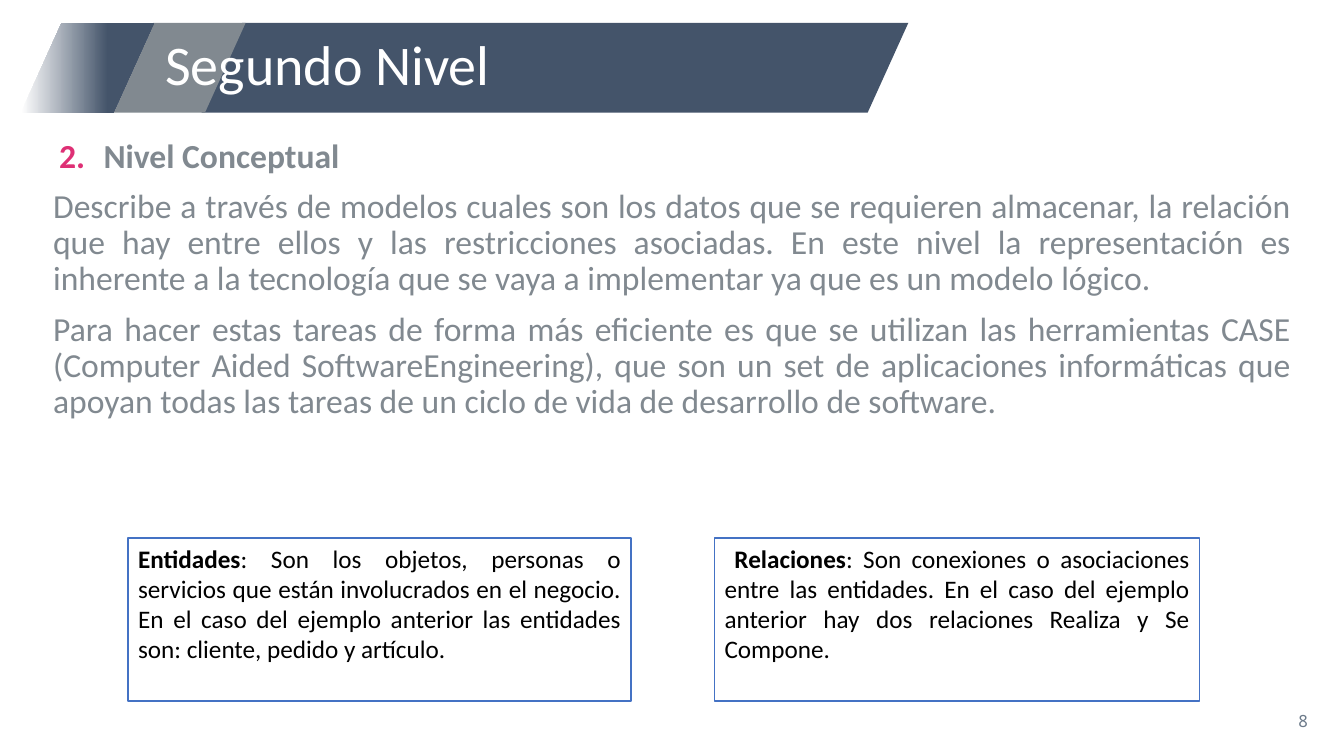
from dataclasses import dataclass

from lxml import etree
from pptx import Presentation
from pptx import util as u
from pptx.dml.color import RGBColor
from pptx.enum import shapes, text
from pptx.oxml import ns


@dataclass(frozen=True)
class Theme:
    font: str = "Calibri"
    number_font: str = "Noto Sans Mono"
    navy: str = "44546A"
    gray: str = "818990"
    white: str = "FFFFFF"
    black: str = "000000"
    pink: str = "DE3075"
    border: str = "4472C4"
    number: str = "6C7A8A"
    title_size: int = 40
    body_size: int = 24
    card_size: int = 18
    number_size: int = 12


THEME = Theme()
JUSTIFY = text.PP_ALIGN.JUSTIFY

BODY = [
    "Describe a través de modelos cuales son los datos que se requieren almacenar, "
    "la relación que hay entre ellos y las restricciones asociadas. En este nivel la "
    "representación es inherente a la tecnología que se vaya a implementar ya que es "
    "un modelo lógico.",
    "Para hacer estas tareas de forma más eficiente es que se utilizan las herramientas "
    "CASE (Computer Aided SoftwareEngineering), que son un set de aplicaciones "
    "informáticas que apoyan todas las tareas de un ciclo de vida de desarrollo de "
    "software.",
]

# Left, width, first-line indent (cm), term, definition
CARDS = [
    (3.23, 12.67, 0, "Entidades",
     ": Son los objetos, personas o servicios que están involucrados en el negocio. "
     "En el caso del ejemplo anterior las entidades son: cliente, pedido y artículo."),
    (18.01, 12.22, 0.25, "Relaciones",
     ": Son conexiones o asociaciones entre las entidades. En el caso del ejemplo "
     "anterior hay dos relaciones Realiza y Se Compone."),
]


def rgb(value):
    return RGBColor.from_string(value)


def area(left, top, width, height):
    return [u.Cm(value) for value in (left, top, width, height)]


def add_span(para, words, size, color, bold=False, font=THEME.font):
    span = para.add_run()
    span.text = words
    span.font.name = font
    span.font.size = u.Pt(size)
    span.font.bold = bold
    span.font.color.rgb = rgb(color)


def set_indent(para, margin, first_line):
    props = para._p.get_or_add_pPr()
    props.set("marL", str(u.Cm(margin)))
    props.set("indent", str(u.Cm(first_line)))
    return props


def add_number(para, start, color):
    props = set_indent(para, 1.27, -1.12)
    bullet_color = etree.SubElement(props, ns.qn("a:buClr"))
    etree.SubElement(bullet_color, ns.qn("a:srgbClr"), val=color)
    etree.SubElement(props, ns.qn("a:buAutoNum"), type="arabicPeriod", startAt=str(start))


def add_banner_piece(page, left, width, color, fade=False):
    piece = page.shapes.add_shape(shapes.MSO_SHAPE.PARALLELOGRAM,
                                  *area(left, 0.58, width, 2.26))
    piece.adjustments[0] = 0.453
    piece.shadow.inherit = False
    piece.line.fill.background()
    if fade:
        piece.fill.gradient()
        piece.fill.gradient_angle = 0
        stops = zip(piece.fill.gradient_stops, (0, 0.65), (THEME.white, color))
        for stop, position, shade in stops:
            stop.position = position
            stop.color.rgb = rgb(shade)
    else:
        piece.fill.solid()
        piece.fill.fore_color.rgb = rgb(color)


def set_title(page, words):
    title = page.shapes.title
    title.left, title.top, title.width, title.height = area(3.91, 0.58, 18.52, 2.26)
    frame = title.text_frame
    frame.vertical_anchor = text.MSO_ANCHOR.MIDDLE
    frame.auto_size = text.MSO_AUTO_SIZE.NONE
    para = frame.paragraphs[0]
    para.alignment = text.PP_ALIGN.LEFT
    para.line_spacing = 0.9
    add_span(para, words, THEME.title_size, THEME.white)
    # Bring the title in front of the banner
    page.shapes._spTree.append(title._element)


def add_text_box(page, place):
    frame = page.shapes.add_textbox(*area(*place)).text_frame
    frame.word_wrap = True
    return frame


def add_body(page, heading, paragraphs):
    frame = add_text_box(page, (1.09, 3.38, 31.7, 14.27))
    para = frame.paragraphs[0]
    add_number(para, 2, THEME.pink)
    para.alignment = JUSTIFY
    para.line_spacing = 0.9
    add_span(para, heading, THEME.body_size, THEME.gray, bold=True)
    for words in paragraphs:
        para = frame.add_paragraph()
        para.alignment = JUSTIFY
        para.line_spacing = 0.9
        para.space_before = u.Pt(10)
        add_span(para, words, THEME.body_size, THEME.gray)


def add_card(page, left, width, first_line, term, definition):
    card = page.shapes.add_shape(shapes.MSO_SHAPE.RECTANGLE,
                                 *area(left, 13.56, width, 4.11))
    card.shadow.inherit = False
    card.fill.solid()
    card.fill.fore_color.rgb = rgb(THEME.white)
    card.line.color.rgb = rgb(THEME.border)
    card.line.width = u.Pt(1)
    frame = card.text_frame
    frame.word_wrap = True
    frame.vertical_anchor = text.MSO_ANCHOR.TOP
    para = frame.paragraphs[0]
    para.alignment = JUSTIFY
    set_indent(para, 0, first_line)
    add_span(para, term, THEME.card_size, THEME.black, bold=True)
    add_span(para, definition, THEME.card_size, THEME.black)


def add_page_number(page, number):
    frame = add_text_box(page, (25.6, 17.65, 7.62, 1.02))
    frame.vertical_anchor = text.MSO_ANCHOR.MIDDLE
    para = frame.paragraphs[0]
    para.alignment = text.PP_ALIGN.RIGHT
    add_span(para, number, THEME.number_size, THEME.number, font=THEME.number_font)


def main():
    deck = Presentation()
    deck.slide_width, deck.slide_height = u.Cm(33.87), u.Cm(19.05)
    page = deck.slides.add_slide(deck.slide_layouts.get_by_name("Title Only"))

    # Title banner
    add_banner_piece(page, 5.08, 17.81, THEME.navy)
    add_banner_piece(page, 2.84, 3.35, THEME.gray)
    add_banner_piece(page, 0.53, 3.35, THEME.navy, fade=True)
    set_title(page, "Segundo Nivel")

    # Explanation and definitions
    add_body(page, "Nivel Conceptual", BODY)
    for card in CARDS:
        add_card(page, *card)

    add_page_number(page, "8")
    deck.save("out.pptx")


if __name__ == "__main__":
    main()
